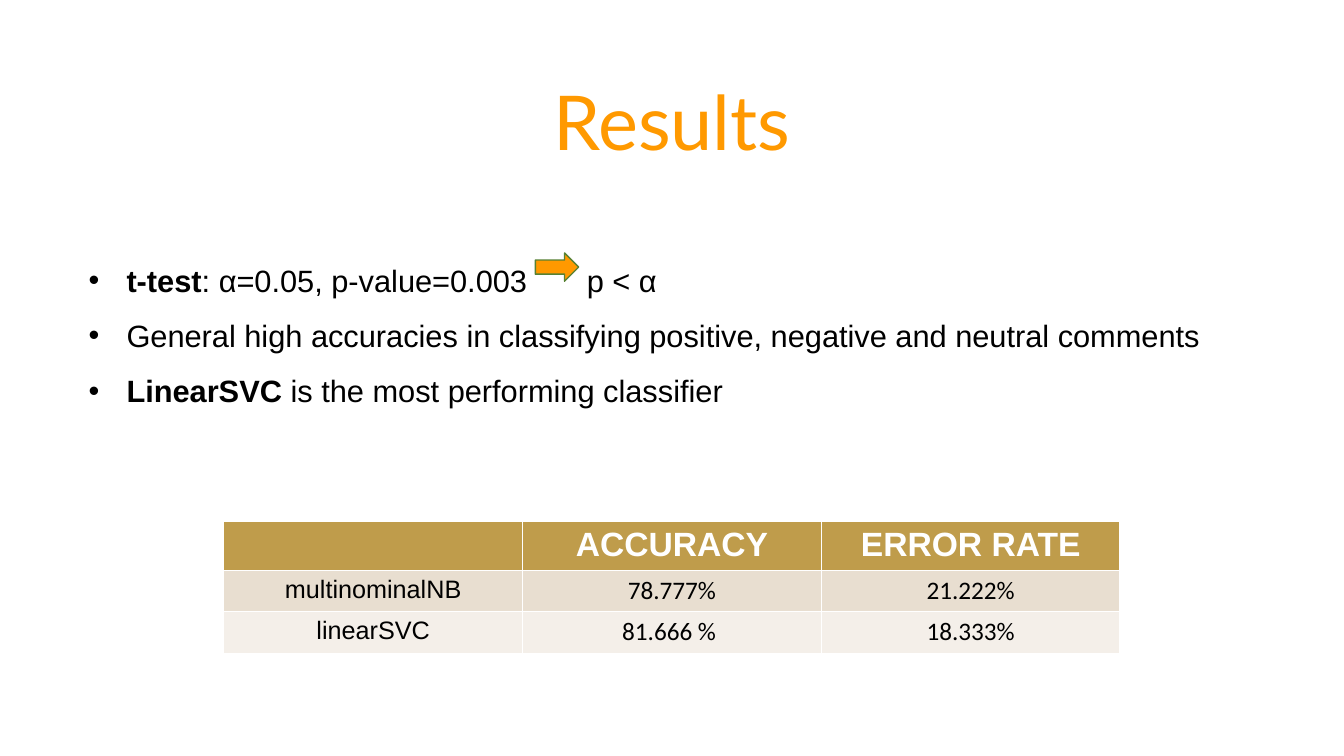
"""Build the Results slide: t-test findings above a table of classifier scores."""
from pptx import Presentation
from pptx.dml.color import RGBColor
from pptx.enum.shapes import MSO_SHAPE
from pptx.enum.text import MSO_ANCHOR, MSO_AUTO_SIZE, PP_ALIGN
from pptx.oxml import parse_xml
from pptx.oxml.ns import nsdecls
from pptx.util import Inches, Pt

TITLE = "Results"
FINDINGS = [
    [("t-test", True), (": α=0.05,\u00a0p-value=0.003\tp < α", False)],
    [("General high accuracies in classifying positive, negative and neutral comments", False)],
    [("LinearSVC ", True), ("is the most performing classifier", False)],
]
SCORES = [
    ("", "ACCURACY", "ERROR RATE"),
    ("multinominalNB", "78.777%", "21.222%"),
    ("linearSVC", "81.666 % ", "18.333%"),
]
ROW_FILLS = ["BF9C4B", "E8DED0", "F4EFE9"]
ROW_HEIGHTS = [0.49, 0.41, 0.41]
ORANGE, OLIVE, BLACK, WHITE = "FF9900", "578133", "000000", "FFFFFF"
TAB_STOP = 4.94


def color(value):
    return RGBColor.from_string(value)


def place(holder, left, top, width, height):
    holder.left, holder.top = Inches(left), Inches(top)
    holder.width, holder.height = Inches(width), Inches(height)
    frame = holder.text_frame
    frame.word_wrap = True
    frame.auto_size = MSO_AUTO_SIZE.NONE
    frame.vertical_anchor = MSO_ANCHOR.TOP
    return frame


def add_run(paragraph, text, size, font, ink, bold=False):
    run = paragraph.add_run()
    run.text = text
    run.font.size, run.font.name, run.font.bold = Pt(size), font, bold
    run.font.color.rgb = color(ink)


def add_findings(slide):
    frame = place(slide.placeholders[1], 0.78, 2.36, 11.77, 1.71)
    for index, finding in enumerate(FINDINGS):
        paragraph = frame.add_paragraph() if index else frame.paragraphs[0]
        paragraph.line_spacing = 1.5
        paragraph.space_before = Pt(0)
        for text, bold in finding:
            add_run(paragraph, text, 22, "Arial", BLACK, bold)
    properties = frame.paragraphs[0]._p.get_or_add_pPr()
    properties.append(parse_xml(
        f'<a:tabLst {nsdecls("a")}><a:tab pos="{Inches(TAB_STOP)}" algn="l"/></a:tabLst>'))


def add_arrow(slide):
    arrow = slide.shapes.add_shape(
        MSO_SHAPE.RIGHT_ARROW, Inches(5.31), Inches(2.51), Inches(0.43), Inches(0.28))
    arrow.shadow.inherit = False
    arrow.fill.solid()
    arrow.fill.fore_color.rgb = color(ORANGE)
    arrow.line.color.rgb = color(OLIVE)
    arrow.line.width = Pt(1)


def add_scores(slide):
    table = slide.shapes.add_table(
        len(SCORES), len(SCORES[0]), Inches(2.22), Inches(5.17),
        Inches(8.89), Inches(sum(ROW_HEIGHTS))).table
    for row, (scores, fill, height) in enumerate(zip(SCORES, ROW_FILLS, ROW_HEIGHTS)):
        table.rows[row].height = Inches(height)
        header = row == 0
        for column, text in enumerate(scores):
            cell = table.cell(row, column)
            cell.fill.solid()
            cell.fill.fore_color.rgb = color(fill)
            if not text:
                continue
            paragraph = cell.text_frame.paragraphs[0]
            paragraph.alignment = PP_ALIGN.CENTER
            font = "Arial" if header or column == 0 else "Calibri"
            add_run(paragraph, text, 24 if header else 18, font,
                    WHITE if header else BLACK, header)


def main():
    deck = Presentation()
    deck.slide_width, deck.slide_height = Inches(13.33), Inches(7.5)
    slide = deck.slides.add_slide(deck.slide_layouts[1])
    heading = place(slide.shapes.title, 0, 0.69, 13.33, 1.01).paragraphs[0]
    heading.alignment = PP_ALIGN.CENTER
    add_run(heading, TITLE, 54, "Lato", ORANGE)
    add_findings(slide)
    add_arrow(slide)
    add_scores(slide)
    deck.save("out.pptx")


if __name__ == "__main__":
    main()
